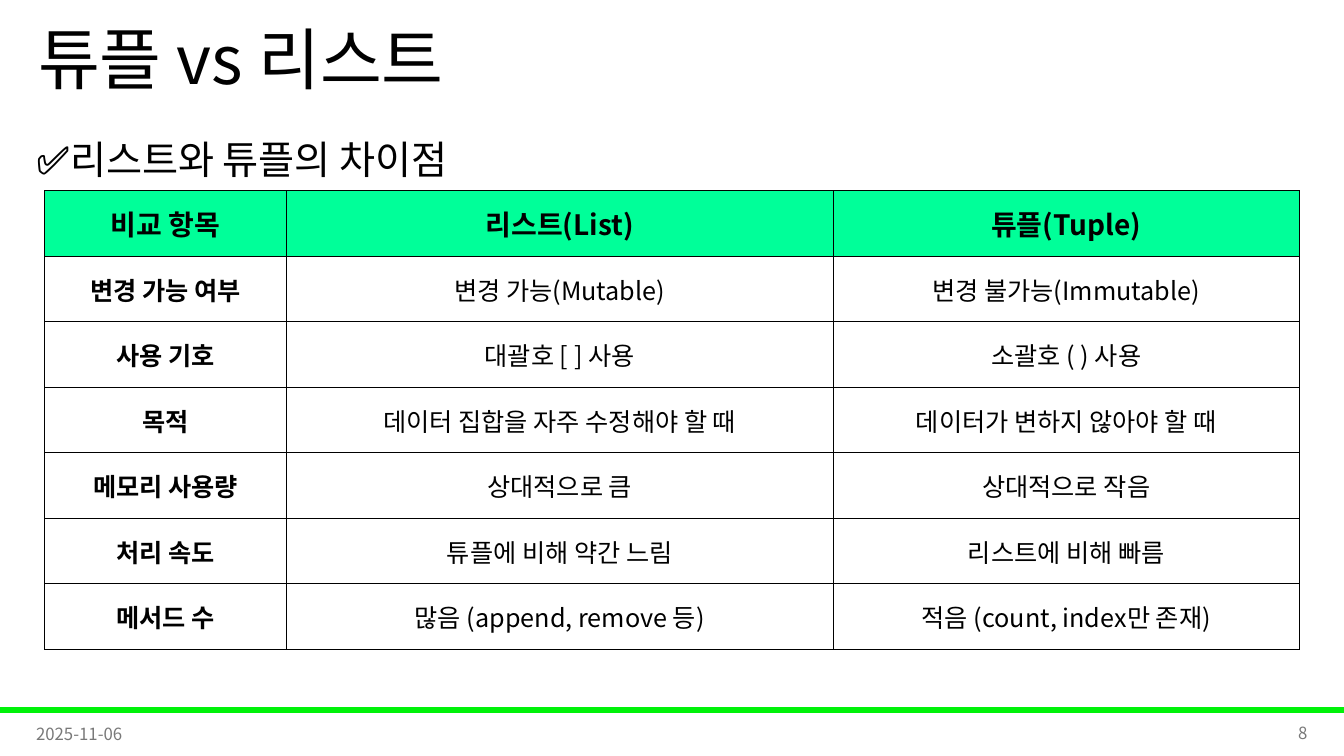
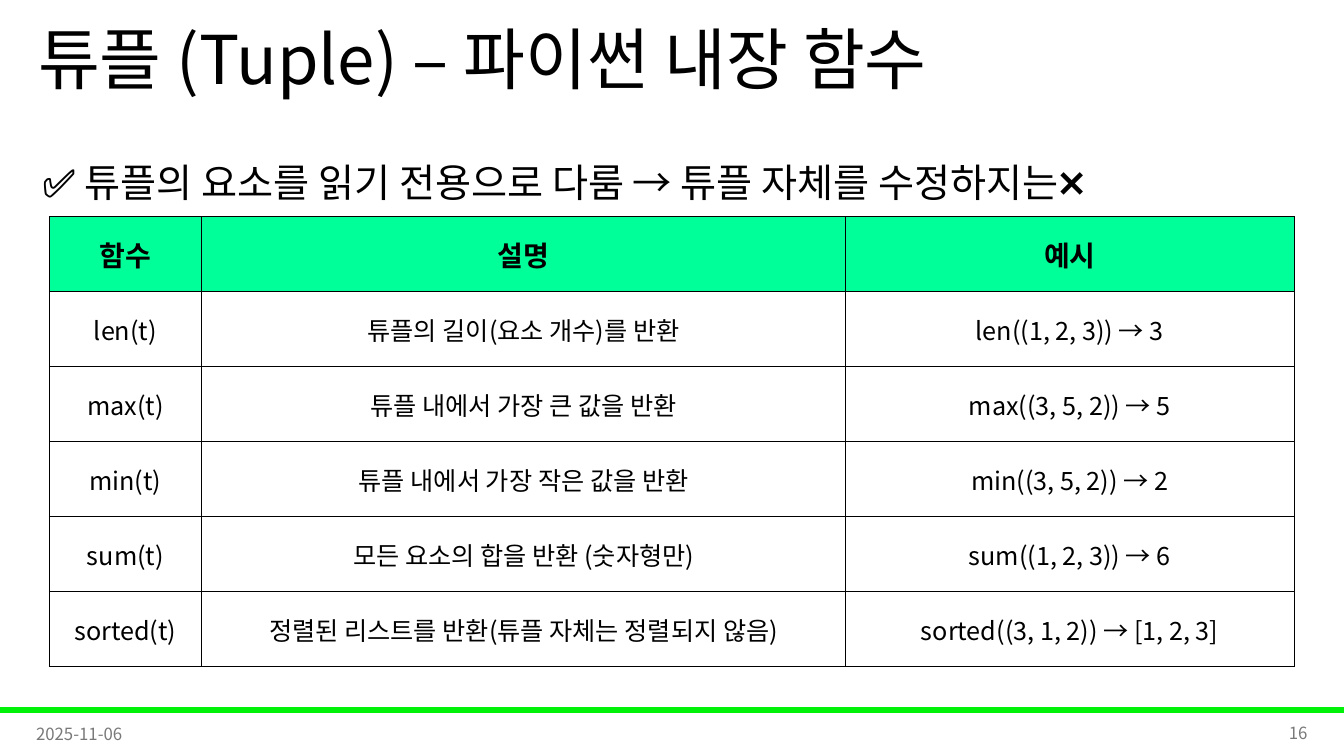
from lxml.etree import SubElement
from pptx import Presentation
from pptx.dml.color import RGBColor
from pptx.enum.shapes import MSO_SHAPE as Kind
from pptx.enum.text import MSO_ANCHOR as Anchor, MSO_AUTO_SIZE as Fit, PP_ALIGN as Align
from pptx.oxml import parse_xml
from pptx.oxml.ns import nsdecls, qn
from pptx.util import Cm, Pt

FONT = "Noto Sans CJK KR"
HUES = {"ink": "000000", "gray": "797979", "band": "00F209", "head": "00FF99"}
DATE = "2025-11-06"

LOOKS = {
    "title": {"size": 48, "space": 0.9, "anchor": Anchor.MIDDLE},
    "lead": {"size": 28, "space": 1.5},
    "date": {"size": 12, "hue": "gray", "anchor": Anchor.MIDDLE},
    "page": {"size": 12, "hue": "gray", "anchor": Anchor.MIDDLE, "align": Align.RIGHT},
    "head": {"size": 20, "bold": True, "align": Align.CENTER},
    "side": {"size": 18, "bold": True, "align": Align.CENTER},
    "body": {"size": 18, "align": Align.CENTER},
}
SPOTS = {
    "title": (0.71, 0, 29.21, 3.18),
    "date": (0.66, 17.98, 7.62, 1.02),
    "page": (25.58, 17.96, 7.62, 1.02),
    "band": (0, 17.83, 33.87, 0.13),
}

SLIDES = [
    {
        "title": "튜플 vs 리스트",
        "page": "8",
        "lead": "✅리스트와 튜플의 차이점",
        "spot": (0.66, 2.69, 32.51, 2.11),
        "grid": (1.12, 4.8),
        "cols": (6.1, 13.77, 11.76),
        "row": 1.65,
        "side": "side",
        "cells": [
            ("비교 항목", "리스트(List)", "튜플(Tuple)"),
            ("변경 가능 여부", "변경 가능(Mutable)", "변경 불가능(Immutable)"),
            ("사용 기호", "대괄호 [ ] 사용", "소괄호 ( ) 사용"),
            ("목적", "데이터 집합을 자주 수정해야 할 때", "데이터가 변하지 않아야 할 때"),
            ("메모리 사용량", "상대적으로 큼", "상대적으로 작음"),
            ("처리 속도", "튜플에 비해 약간 느림", "리스트에 비해 빠름"),
            ("메서드 수", "많음 (append, remove 등)", "적음 (count, index만 존재)"),
        ],
    },
    {
        "title": "튜플 (Tuple) – 파이썬 내장 함수",
        "page": "16",
        "lead": "✅ 튜플의 요소를 읽기 전용으로 다룸 → 튜플 자체를 수정하지는❌",
        "spot": (0.81, 3.28, 32.51, 2.11),
        "grid": (1.24, 5.46),
        "cols": (3.84, 16.23, 11.3),
        "row": 1.89,
        "side": "body",
        "cells": [
            ("함수", "설명", "예시"),
            ("len(t)", "튜플의 길이(요소 개수)를 반환", "len((1, 2, 3)) → 3"),
            ("max(t)", "튜플 내에서 가장 큰 값을 반환", "max((3, 5, 2)) → 5"),
            ("min(t)", "튜플 내에서 가장 작은 값을 반환", "min((3, 5, 2)) → 2"),
            ("sum(t)", "모든 요소의 합을 반환 (숫자형만)", "sum((1, 2, 3)) → 6"),
            ("sorted(t)", "정렬된 리스트를 반환(튜플 자체는 정렬되지 않음)",
             "sorted((3, 1, 2)) → [1, 2, 3]"),
        ],
    },
]


def tint(name):
    return RGBColor.from_string(HUES[name])


def write(frame, text, look):
    para = frame.paragraphs[0]
    run = para.add_run()
    run.text = text
    para.alignment = look.get("align", Align.LEFT)
    para.line_spacing = look.get("space", 1.0)
    font = run.font
    traits = {"size": Pt(look["size"]), "bold": look.get("bold", False), "name": FONT}
    for key, value in traits.items():
        setattr(font, key, value)
    font.color.rgb = tint(look.get("hue", "ink"))
    SubElement(run._r.get_or_add_rPr(), qn("a:ea")).set("typeface", FONT)


def fill_box(box, text, look):
    frame = box.text_frame
    traits = {"word_wrap": True, "auto_size": Fit.NONE,
              "vertical_anchor": look.get("anchor", Anchor.TOP)}
    for key, value in traits.items():
        setattr(frame, key, value)
    write(frame, text, look)


def add_text(slide, text, spot, look):
    fill_box(slide.shapes.add_textbox(*map(Cm, spot)), text, look)


def edge(cell):
    props = cell._tc.get_or_add_tcPr()
    for i, side in enumerate("LRTB"):
        props.insert(i, parse_xml(
            f'<a:ln{side} {nsdecls("a")} w="6350"><a:solidFill>'
            f'<a:srgbClr val="{HUES["ink"]}"/></a:solidFill></a:ln{side}>'))


def add_grid(slide, data):
    cells, cols, row = data["cells"], data["cols"], data["row"]
    size = sum(cols), row * len(cells)
    table = slide.shapes.add_table(
        len(cells), len(cols), *map(Cm, data["grid"] + size)).table
    table.horz_banding = False
    for col, width in zip(table.columns, cols):
        col.width = Cm(width)
    for r, line in enumerate(cells):
        table.rows[r].height = Cm(row)
        for c, text in enumerate(line):
            cell = table.cell(r, c)
            traits = {"margin_left": Cm(0.02), "margin_right": Cm(0.02),
                      "margin_top": Cm(0.02), "margin_bottom": 0,
                      "vertical_anchor": Anchor.MIDDLE}
            for key, value in traits.items():
                setattr(cell, key, value)
            if r == 0:
                cell.fill.solid()
                cell.fill.fore_color.rgb = tint("head")
            else:
                cell.fill.background()
            edge(cell)
            kind = "head" if r == 0 else data["side"] if c == 0 else "body"
            write(cell.text_frame, text, LOOKS[kind])


def add_band(slide, layout):
    band = slide.shapes.add_shape(Kind.RECTANGLE, *map(Cm, SPOTS["band"]))
    band.shadow.inherit = False
    band.fill.solid()
    band.fill.fore_color.rgb = band.line.color.rgb = tint("band")
    band.line.width = Pt(1)
    band.element.nvSpPr.cNvPr.set("id", "99")
    layout.shapes.element.append(band.element)


def add_slide(deck, layout, data):
    slide = deck.slides.add_slide(layout)
    title = slide.shapes.title
    for key, value in zip(("left", "top", "width", "height"), SPOTS["title"]):
        setattr(title, key, Cm(value))
    fill_box(title, data["title"], LOOKS["title"])
    add_text(slide, DATE, SPOTS["date"], LOOKS["date"])
    add_text(slide, data["page"], SPOTS["page"], LOOKS["page"])
    add_text(slide, data["lead"], data["spot"], LOOKS["lead"])
    add_grid(slide, data)
    return slide


def main():
    """Build the two tuple slides and save them."""
    deck = Presentation()
    deck.slide_width, deck.slide_height = Cm(33.87), Cm(19.05)
    layout = deck.slide_layouts[5]
    slides = [add_slide(deck, layout, data) for data in SLIDES]
    add_band(slides[0], layout)
    deck.save("out.pptx")


if __name__ == "__main__":
    main()
